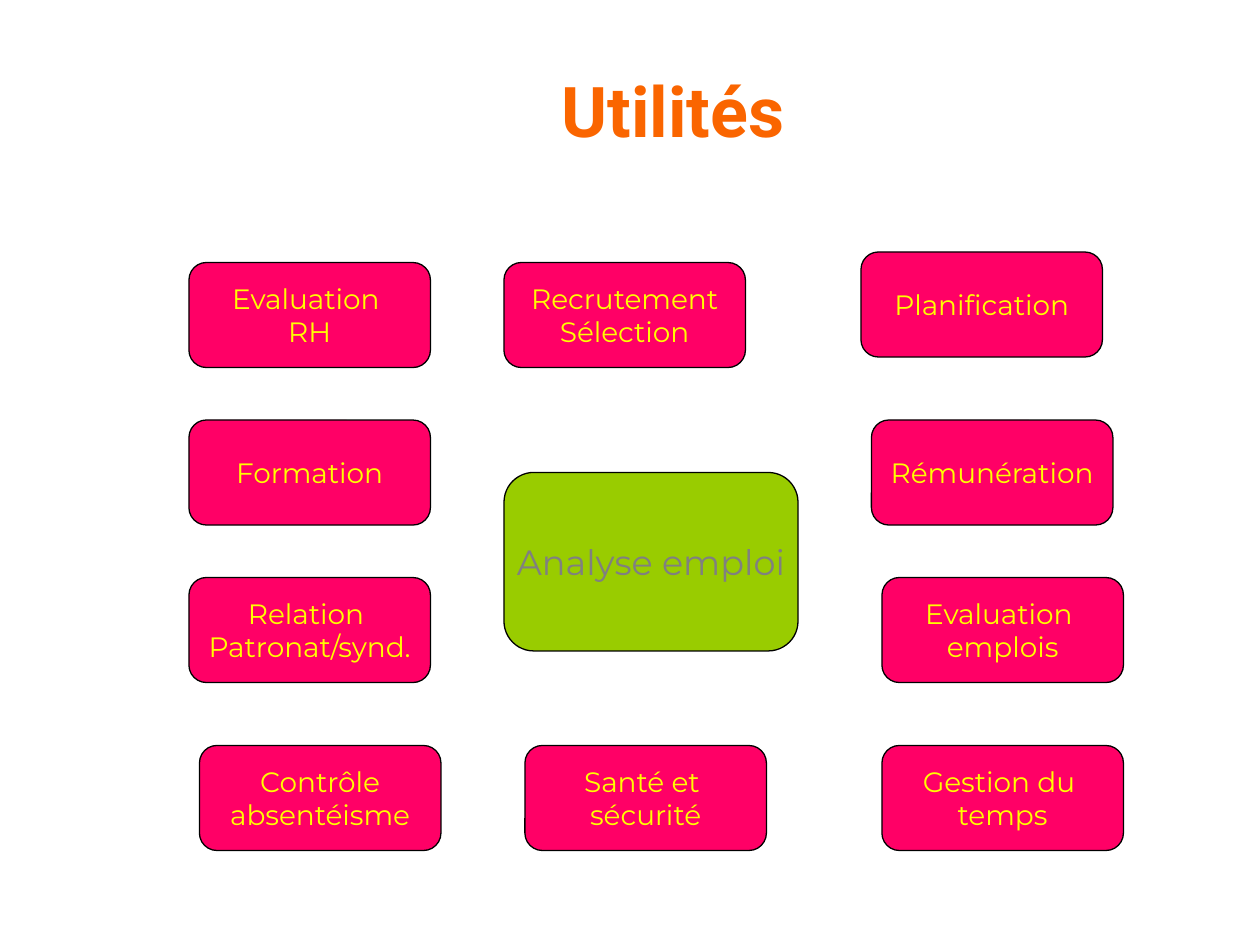
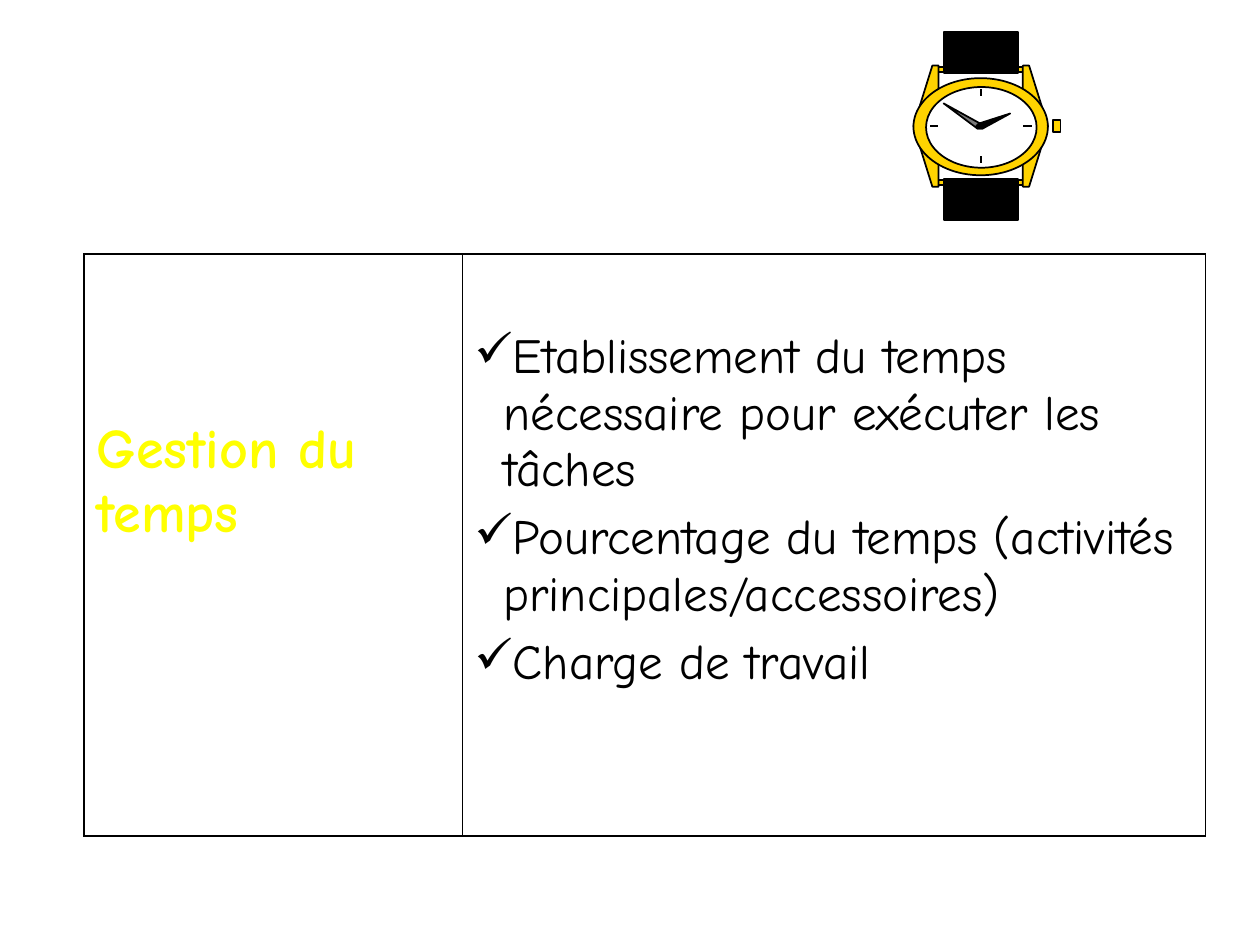
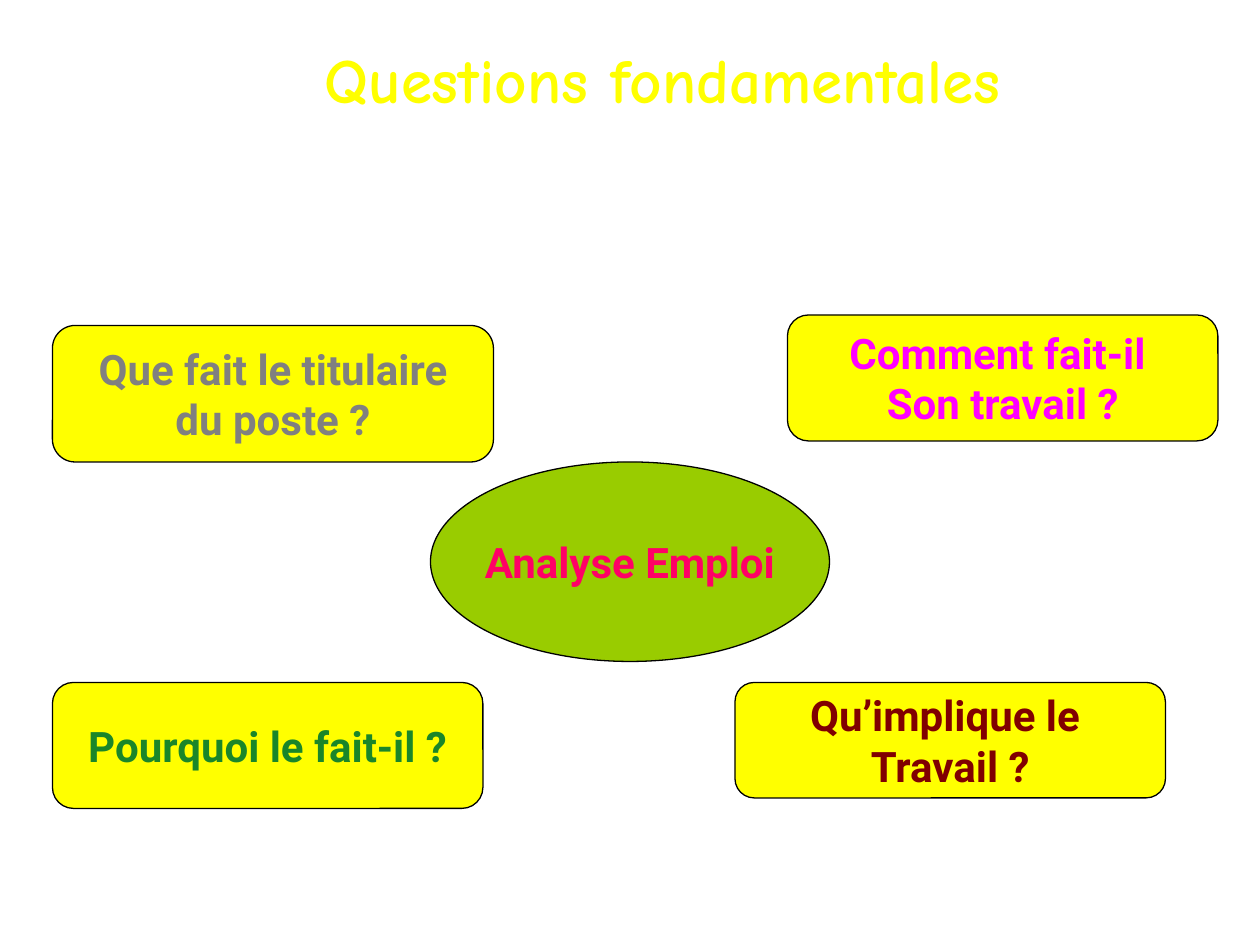
import pptx
import pptx.util
import pptx.dml.color
import pptx.enum.shapes
import pptx.enum.text
import pptx.oxml
import pptx.oxml.ns

Pt = pptx.util.Pt
Kind = pptx.enum.shapes.MSO_SHAPE
Anchor = pptx.enum.text.MSO_ANCHOR
Align = pptx.enum.text.PP_ALIGN

COLORS = {
    "black": "000000", "white": "FFFFFF", "grey": "808080", "steel": "7A7A7A",
    "orange": "FA6500", "yellow": "FFFF00", "pink": "FF0066", "lime": "99CC00",
    "magenta": "FF00FF", "green": "1A8629", "maroon": "800000", "gold": "FFD300",
}
COMIC, MONT, ROBOTO = "Comic Neue", "Montserrat", "Roboto"
WIDTH, HEIGHT = pptx.util.Inches(10), pptx.util.Inches(7.5)
COLS, ROWS = 120, 90


def rgb(name):
    return pptx.dml.color.RGBColor.from_string(COLORS[name])


def grid(col, row, cols, rows):
    """Turn a box in grid columns and rows into slide lengths."""
    dx, dy = WIDTH / COLS, HEIGHT / ROWS
    return [round(n) for n in (col * dx, row * dy, cols * dx, rows * dy)]


def style(frame, font, size, color, bold=False, align=Align.CENTER):
    for para in frame.paragraphs:
        para.alignment = align
        for run in para.runs:
            run.font.name, run.font.size, run.font.bold = font, Pt(size), bold
            run.font.color.rgb = rgb(color)


def paint(shape, fill, line=0.75):
    shape.shadow.inherit = False
    shape.fill.solid()
    shape.fill.fore_color.rgb = rgb(fill)
    shape.line.color.rgb = rgb("black")
    shape.line.width = Pt(line)


def title(slide, text, box, font, size, color, anchor):
    head = slide.shapes.title
    head.left, head.top, head.width, head.height = grid(*box)
    frame = head.text_frame
    frame.text = text
    frame.vertical_anchor = anchor
    style(frame, font, size, color, bold=True)


def label(slide, kind, box, text, fill, font, size, color, bold=False):
    """Add a filled shape with centred text that does not wrap."""
    shape = slide.shapes.add_shape(kind, *grid(*box))
    paint(shape, fill)
    frame = shape.text_frame
    frame.text = text
    frame.word_wrap = False
    frame.vertical_anchor = Anchor.MIDDLE
    style(frame, font, size, color, bold)


def uses(deck):
    slide = deck.slides.add_slide(deck.slide_layouts[5])
    title(slide, "Utilités", (13, 0, 102.2, 15), ROBOTO, 40, "orange", Anchor.BOTTOM)
    label(slide, Kind.ROUNDED_RECTANGLE, (48, 45, 28, 17), "Analyse emploi",
          "lime", MONT, 20, "grey")
    cards = [
        (18, 25, "Evaluation \nRH"), (48, 25, "Recrutement\nSélection"),
        (82, 24, "Planification"),
        (18, 40, "Formation"), (83, 40, "Rémunération"),
        (18, 55, "Relation \nPatronat/synd."), (84, 55, "Evaluation \nemplois"),
        (19, 71, "Contrôle\nabsentéisme"), (50, 71, "Santé et \nsécurité"),
        (84, 71, "Gestion du \ntemps"),
    ]
    for col, row, text in cards:
        label(slide, Kind.ROUNDED_RECTANGLE, (col, row, 23, 10), text,
              "pink", MONT, 16, "yellow")


def border(cell, **widths):
    """Draw the cell's sides, in the order L, R, T, B, with widths in points."""
    props = cell._tc.get_or_add_tcPr()
    for place, (side, width) in enumerate(widths.items()):
        props.insert(place, pptx.oxml.parse_xml(
            f'<a:ln{side} {pptx.oxml.ns.nsdecls("a")} w="{Pt(width)}"><a:solidFill>'
            f'<a:srgbClr val="{COLORS["black"]}"/></a:solidFill></a:ln{side}>'))


def check(para):
    """Give the paragraph a hanging check mark."""
    props = para._p.get_or_add_pPr()
    indent = pptx.util.Inches(0.23)
    props.set("marL", str(indent))
    props.set("indent", str(-indent))
    mark = pptx.oxml.ns.nsdecls("a")
    props.append(pptx.oxml.parse_xml(
        f'<a:buClr {mark}><a:srgbClr val="{COLORS["black"]}"/></a:buClr>'))
    props.append(pptx.oxml.parse_xml(f'<a:buChar {mark} char="✓"/>'))


def table(slide, box):
    left, top, width, height = grid(*box)
    sheet = slide.shapes.add_table(1, 2, left, top, width, height).table
    sheet.first_row = sheet.horz_banding = False
    sheet.columns[0].width = round(width * 0.337)
    sheet.columns[1].width = width - sheet.columns[0].width
    topic, tasks = sheet.cell(0, 0), sheet.cell(0, 1)
    for cell, inset in ((topic, 1.3), (tasks, 0.6)):
        cell.fill.background()
        cell.margin_top = pptx.util.Inches(inset)
    border(topic, L=1.08, R=0.45, T=1.08, B=1.08)
    border(tasks, L=0.45, R=1.08, T=1.08, B=1.08)

    topic.text_frame.text = "Gestion du temps"
    style(topic.text_frame, COMIC, 32, "yellow", True, Align.LEFT)
    tasks.text_frame.text = "\n".join([
        "Etablissement du temps nécessaire pour exécuter les tâches",
        "Pourcentage du temps (activités principales/accessoires)",
        "Charge de travail"])
    style(tasks.text_frame, COMIC, 28, "black", False, Align.LEFT)
    for rank, para in enumerate(tasks.text_frame.paragraphs):
        para.space_before = Pt(7 if rank else 0)
        check(para)


def watch(slide, box):
    """Draw a wristwatch on a grid of 117 by 149 steps inside the box."""
    left, top, width, height = grid(*box)
    wide, high = 117, 149
    midx, midy = 53.5, 75
    parts = slide.shapes.add_group_shape().shapes

    def spot(x, y):
        return round(left + x * width / wide), round(top + y * height / high)

    def solid(kind, x, y, w, h, fill):
        size = round(w * width / wide), round(h * height / high)
        paint(parts.add_shape(kind, *spot(x, y), *size), fill, 1)

    def shape(points, fill):
        first, *rest = [spot(*point) for point in points]
        path = parts.build_freeform(*first)
        path.add_line_segments(rest, close=True)
        paint(path.convert_to_shape(), fill, 1)

    def pair(x, y, w, h, fill):
        """Add a block and its mirror below the centre."""
        for edge in (y, 2 * midy - y - h):
            solid(Kind.RECTANGLE, x, edge, w, h, fill)

    pair(19, 28, 69, 4, "gold")
    lug = [(20, 123), (20, 27), (15, 27), (0, 75), (15, 123)]
    shape(lug, "gold")
    shape([(2 * midx - x, y) for x, y in lug], "gold")
    solid(Kind.OVAL, 0, 37, 107, 77, "gold")
    solid(Kind.OVAL, 10, 44, 88, 64, "white")
    solid(Kind.RECTANGLE, 111, 70, 6, 10, "gold")
    for dx, dy in ((0, -1), (0, 1), (1, 0), (-1, 0)):
        ends = [spot(midx + dx * a, midy + dy * b) for a, b in ((34, 24), (40.5, 29.5))]
        tick = parts.add_connector(pptx.enum.shapes.MSO_CONNECTOR.STRAIGHT,
                                   *ends[0], *ends[1])
        tick.line.color.rgb = rgb("black")
        tick.line.width = Pt(1)
        tick._element.spPr.append(pptx.oxml.parse_xml(
            f'<a:effectLst {pptx.oxml.ns.nsdecls("a")}/>'))
    shape([(51, 77), (55, 77), (56, 75), (55, 74), (24, 57)], "steel")
    shape([(52, 73), (50, 75), (51, 77), (55, 77), (77, 65)], "black")
    pair(24, 0.5, 59.5, 32.5, "black")


def time(deck):
    slide = deck.slides.add_slide(deck.slide_layouts[6])
    table(slide, (8, 24.2, 106.8, 55.4))
    watch(slide, (87, 3, 14, 17.9))


def questions(deck):
    slide = deck.slides.add_slide(deck.slide_layouts[5])
    title(slide, "Questions fondamentales", (12, 0, 102.2, 15), COMIC, 36, "yellow",
          Anchor.MIDDLE)
    label(slide, Kind.OVAL, (41, 44, 38, 19), "Analyse Emploi",
          "lime", ROBOTO, 24, "pink", True)
    cards = [
        ((5, 31, 42, 13), "Que fait le titulaire\ndu poste ?", "grey"),
        ((75, 30, 41, 12), "Comment fait-il \nSon travail ?", "magenta"),
        ((5, 65, 41, 12), "Pourquoi le fait-il ?", "green"),
        ((70, 65, 41, 11), "Qu’implique le \nTravail ?", "maroon"),
    ]
    for box, text, color in cards:
        label(slide, Kind.ROUNDED_RECTANGLE, box, text, "yellow", ROBOTO, 24, color, True)


def main():
    deck = pptx.Presentation()
    deck.slide_width, deck.slide_height = WIDTH, HEIGHT
    uses(deck)
    time(deck)
    questions(deck)
    deck.save("out.pptx")


if __name__ == "__main__":
    main()
